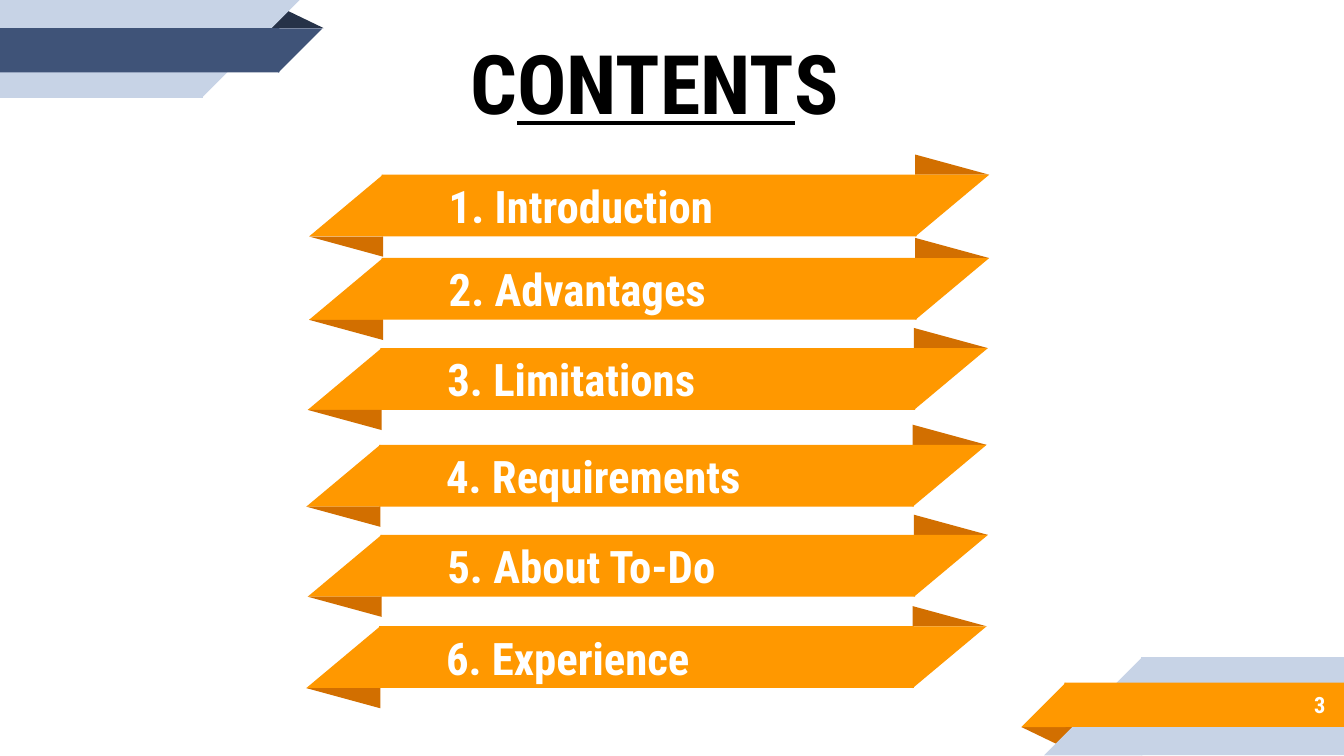
from dataclasses import dataclass
from typing import Any, Optional

import pptx
import pptx.dml.color
import pptx.enum.shapes
import pptx.enum.text
import pptx.util

Inches = pptx.util.Inches
MSO = pptx.enum.shapes.MSO_SHAPE
ALIGN = pptx.enum.text.PP_ALIGN
ANCHOR = pptx.enum.text.MSO_ANCHOR


@dataclass(frozen=True)
class Theme:
    font: str = "Roboto Condensed"
    orange: str = "FF9800"
    dark_orange: str = "D26F00"
    navy: str = "3F5378"
    dark_navy: str = "263248"
    pale: str = "C7D3E6"
    white: str = "FFFFFF"
    black: str = "000000"
    title_size: int = 44
    item_size: int = 24
    number_size: int = 12


@dataclass(frozen=True)
class Piece:
    kind: Any
    left: float
    top: float
    width: float
    height: float
    color: str
    rotation: int = 0
    flip: bool = False
    adj: Optional[float] = None


@dataclass(frozen=True)
class Ribbon:
    text: str
    left: float
    top: float


THEME = Theme()

# Ribbon geometry: band, slanted ends and folds; parts overlap a little
BAND_W, BAND_H = 3.98, 0.46
END_W, FOLD_H = 0.55, 0.15
OVERLAP = 0.01

RIBBONS = [
    Ribbon("1. Introduction", 2.3, 1.3),
    Ribbon("2. Advantages", 2.3, 1.92),
    Ribbon("3. Limitations", 2.29, 2.59),
    Ribbon("4. Requirements", 2.28, 3.31),
    Ribbon("5. About To-Do", 2.29, 3.98),
    Ribbon("6. Experience", 2.28, 4.66),
]

TOP_CORNER = [
    Piece(MSO.ISOSCELES_TRIANGLE, 1.98, 0.07, 0.43, 0.14, THEME.dark_navy, adj=0.324),
    Piece(MSO.RECTANGLE, 0, 0, 1.51, 0.73, THEME.pale),
    Piece(MSO.RIGHT_TRIANGLE, 1.5, 0, 0.73, 0.73, THEME.pale, 180, True),
    Piece(MSO.RECTANGLE, 0, 0.21, 2.08, 0.33, THEME.navy),
    Piece(MSO.RIGHT_TRIANGLE, 2.07, 0.21, 0.33, 0.33, THEME.navy, 180, True),
]

BOTTOM_CORNER = [
    Piece(MSO.ISOSCELES_TRIANGLE, 7.6, 5.41, 0.43, 0.14, THEME.dark_orange, 180, adj=0.324),
    Piece(MSO.RECTANGLE, 8.49, 4.89, 1.51, 0.73, THEME.pale),
    Piece(MSO.RIGHT_TRIANGLE, 7.77, 4.89, 0.73, 0.73, THEME.pale, flip=True),
    Piece(MSO.RECTANGLE, 7.92, 5.08, 2.08, 0.33, THEME.orange),
    Piece(MSO.RIGHT_TRIANGLE, 7.6, 5.08, 0.33, 0.33, THEME.orange, flip=True),
]


def add_run(p: Any, text: str, *, size: int, color: str, underline: bool = False) -> None:
    r = p.add_run()
    r.text = text
    r.font.name = THEME.font
    r.font.size = pptx.util.Pt(size)
    r.font.bold = True
    r.font.underline = underline
    r.font.color.rgb = pptx.dml.color.RGBColor.from_string(color)


def set_frame(tf: Any, inset: float) -> None:
    tf.word_wrap = True
    tf.vertical_anchor = ANCHOR.MIDDLE
    tf.margin_left = tf.margin_right = tf.margin_top = tf.margin_bottom = Inches(inset)


def draw_piece(shapes: Any, piece: Piece) -> Any:
    sp = shapes.add_shape(piece.kind, Inches(piece.left), Inches(piece.top),
                          Inches(piece.width), Inches(piece.height))
    sp.shadow.inherit = False
    sp.fill.solid()
    sp.fill.fore_color.rgb = pptx.dml.color.RGBColor.from_string(piece.color)
    sp.line.fill.background()
    sp.rotation = piece.rotation
    if piece.adj is not None:
        sp.adjustments[0] = piece.adj
    if piece.flip:
        sp.element.spPr.xfrm.set("flipH", "1")
    return sp


def draw_corner(s: Any, pieces: list[Piece]) -> None:
    group = s.shapes.add_group_shape()
    for piece in pieces:
        draw_piece(group.shapes, piece)


def draw_ribbon(s: Any, ribbon: Ribbon) -> None:
    shapes = s.shapes.add_group_shape().shapes
    left, top = ribbon.left, ribbon.top
    band_left = left + END_W - OVERLAP
    right = band_left + BAND_W - OVERLAP

    draw_piece(shapes, Piece(MSO.ISOSCELES_TRIANGLE, right, top - FOLD_H,
                             END_W, FOLD_H, THEME.dark_orange, adj=0))
    band = draw_piece(shapes, Piece(MSO.RECTANGLE, band_left, top,
                                    BAND_W, BAND_H, THEME.orange))
    draw_piece(shapes, Piece(MSO.RIGHT_TRIANGLE, right, top,
                             END_W, BAND_H, THEME.orange, 180, True))
    draw_piece(shapes, Piece(MSO.RIGHT_TRIANGLE, left, top,
                             END_W, BAND_H, THEME.orange, flip=True))
    draw_piece(shapes, Piece(MSO.ISOSCELES_TRIANGLE, left, top + BAND_H,
                             END_W, FOLD_H, THEME.dark_orange, 180, adj=0))

    set_frame(band.text_frame, 0.1)
    p = band.text_frame.paragraphs[0]
    p.alignment = ALIGN.LEFT
    pPr = p._p.get_or_add_pPr()
    pPr.set("marL", str(Inches(0.4)))
    pPr.set("indent", "0")
    add_run(p, ribbon.text, size=THEME.item_size, color=THEME.white)


def draw_title(s: Any) -> None:
    title = s.shapes.title
    title.left, title.top = Inches(3.4), Inches(0.19)
    title.width, title.height = Inches(2.99), Inches(0.84)
    tf = title.text_frame
    tf.word_wrap = False
    tf.auto_size = pptx.enum.text.MSO_AUTO_SIZE.SHAPE_TO_FIT_TEXT
    tf.vertical_anchor = ANCHOR.TOP
    p = tf.paragraphs[0]
    p.alignment = ALIGN.LEFT
    for text, underline in (("C", False), ("ONTENT", True), ("S", False)):
        add_run(p, text, size=THEME.title_size, color=THEME.black, underline=underline)


def draw_page_number(s: Any) -> None:
    box = s.shapes.add_textbox(Inches(8.33), Inches(5.07), Inches(1.63), Inches(0.35))
    set_frame(box.text_frame, 0.1)
    p = box.text_frame.paragraphs[0]
    p.alignment = ALIGN.RIGHT
    add_run(p, "3", size=THEME.number_size, color=THEME.white)


def main() -> None:
    prs = pptx.Presentation()
    # Widescreen, 16:9
    prs.slide_width = Inches(10)
    prs.slide_height = Inches(10 * 9 / 16)
    s = prs.slides.add_slide(prs.slide_layouts[5])

    # Corner decorations and page number
    draw_corner(s, TOP_CORNER)
    draw_corner(s, BOTTOM_CORNER)
    draw_page_number(s)

    # Title and contents list
    draw_title(s)
    for ribbon in RIBBONS:
        draw_ribbon(s, ribbon)

    prs.save("out.pptx")


if __name__ == "__main__":
    main()
